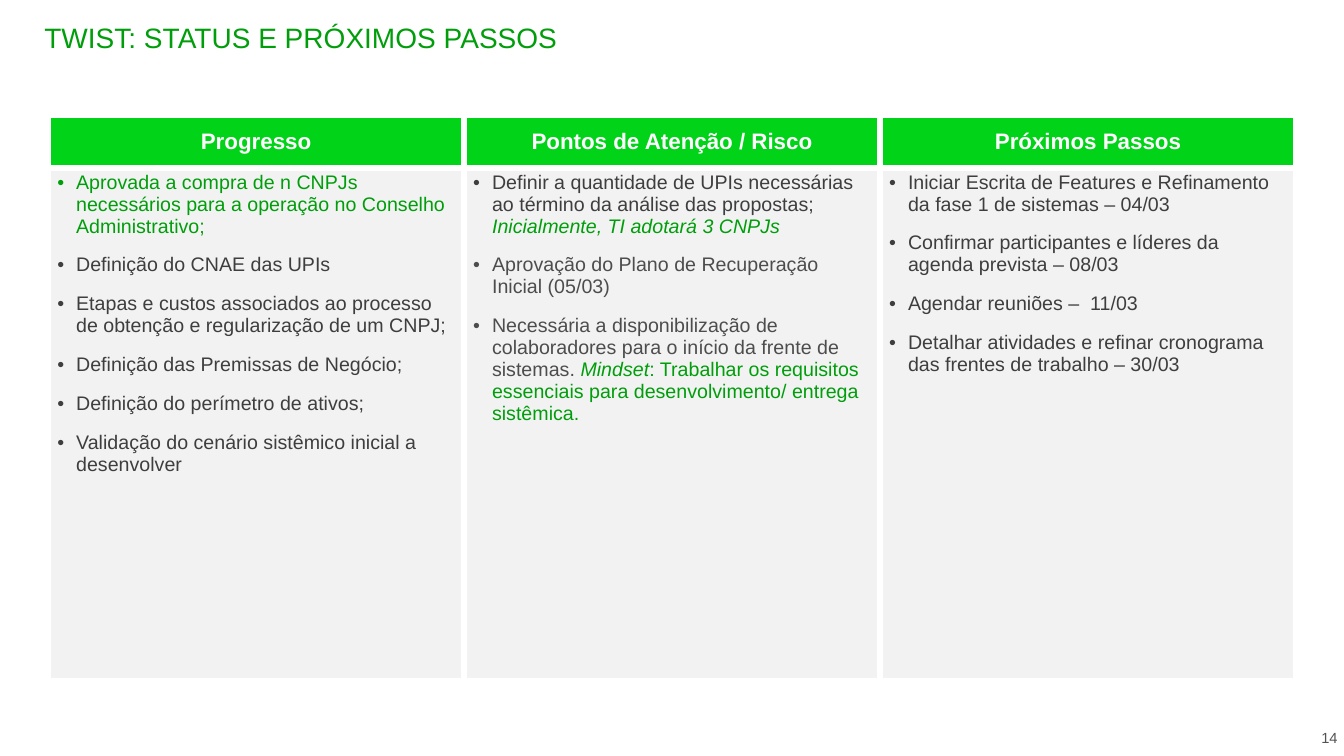
"""Build the TWIST status slide: progress, risks and next steps in a table."""
import pptx
import pptx.dml.color
import pptx.enum.text
import pptx.oxml
import pptx.oxml.ns
import pptx.util

Pt = pptx.util.Pt
ALIGN = pptx.enum.text.PP_ALIGN
ANCHOR = pptx.enum.text.MSO_ANCHOR
GREEN, DARK, GRAY = "009E0B", "3E3E3E", "4D4D4D"
NAMESPACE = pptx.oxml.ns.nsdecls("a")


def rgb(value):
    return pptx.dml.color.RGBColor.from_string(value)


def add_span(para, text, size, color, **format_values):
    span = para.add_run()
    span.text = text
    span.font.color.rgb = rgb(color)
    for name, value in {"name": "Arial", "size": Pt(size), **format_values}.items():
        setattr(span.font, name, value)


columns = {
    "Progresso": [
        [("Aprovada a compra de n CNPJs necessários para a operação no Conselho Administrativo;", GREEN, False)],
        [("Definição do CNAE das UPIs", DARK, False)],
        [("Etapas e custos associados ao processo de obtenção e regularização de um CNPJ;", DARK, False)],
        [("Definição das Premissas de Negócio;", DARK, False)],
        [("Definição do perímetro de ativos;", DARK, False)],
        [("Validação do cenário sistêmico inicial a desenvolver", DARK, False)],
    ],
    "Pontos de Atenção / Risco": [
        [("Definir a quantidade de UPIs necessárias ao término da análise das propostas; ", DARK, False),
         ("Inicialmente, TI adotará 3 CNPJs", GREEN, True)],
        [("Aprovação do Plano de Recuperação Inicial (05/03)", GRAY, False)],
        [("Necessária a disponibilização de colaboradores para o início da frente de sistemas. ", GRAY, False),
         ("Mindset", GREEN, True),
         (": Trabalhar os requisitos essenciais para desenvolvimento/ entrega sistêmica.", GREEN, False)],
    ],
    "Próximos Passos": [
        [("Iniciar Escrita de Features e Refinamento da fase 1 de sistemas – 04/03", DARK, False)],
        [("Confirmar participantes e líderes da agenda prevista – 08/03", DARK, False)],
        [("Agendar reuniões –  11/03", DARK, False)],
        [("Detalhar atividades e refinar cronograma das frentes de trabalho – 30/03", DARK, False)],
    ],
}

deck = pptx.Presentation()
deck.slide_width, deck.slide_height = Pt(960), Pt(540)
page = deck.slides.add_slide(deck.slide_layouts[5])

title = page.shapes.title
title.left, title.top, title.width, title.height = Pt(24.5), Pt(10.8), Pt(846.7), Pt(43.9)
title.text_frame.vertical_anchor = ANCHOR.TOP
title.text_frame.auto_size = pptx.enum.text.MSO_AUTO_SIZE.NONE
title_para = title.text_frame.paragraphs[0]
title_para.alignment = ALIGN.LEFT
add_span(title_para, "TWIST: STATUS E PRÓXIMOS PASSOS", 20, GREEN)

number_box = page.shapes.add_textbox(Pt(870.5), Pt(519.8), Pt(88.5), Pt(13.7))
number_frame = number_box.text_frame
number_frame.word_wrap = True
number_frame.vertical_anchor = ANCHOR.MIDDLE
for side in ("left", "right", "top", "bottom"):
    setattr(number_frame, f"margin_{side}", Pt(3.6))
number_para = number_frame.paragraphs[0]
number_para.alignment = ALIGN.RIGHT
add_span(number_para, "14", 10.5, "535353")

table = page.shapes.add_table(2, 3, Pt(34.4), Pt(82.2), Pt(891.3), Pt(404.4)).table
table.first_row = table.horz_banding = False
for column in table.columns:
    column.width = Pt(297.1)
table.rows[0].height, table.rows[1].height = Pt(37.9), Pt(366.5)

cell_formats = [
    {"margin_left": Pt(0.7), "margin_right": Pt(0.7), "margin_top": Pt(0.7), "margin_bottom": Pt(0),
     "vertical_anchor": ANCHOR.MIDDLE},
    {"margin_left": Pt(6.5), "margin_right": Pt(6.5), "margin_top": Pt(2.2), "margin_bottom": Pt(2.2),
     "vertical_anchor": ANCHOR.TOP},
]
for row, fill in enumerate(("00D318", "F2F2F2")):
    for column in range(3):
        cell = table.cell(row, column)
        cell.fill.solid()
        cell.fill.fore_color.rgb = rgb(fill)
        for name, value in cell_formats[row].items():
            setattr(cell, name, value)
        for position, edge in enumerate(("lnL", "lnR", "lnT", "lnB")):
            border = pptx.oxml.parse_xml(
                f'<a:{edge} {NAMESPACE} w="{Pt(4.5)}"><a:solidFill>'
                f'<a:srgbClr val="FFFFFF"/></a:solidFill></a:{edge}>')
            cell._tc.get_or_add_tcPr().insert(position, border)

for column, (heading, items) in enumerate(columns.items()):
    heading_para = table.cell(0, column).text_frame.paragraphs[0]
    heading_para.alignment = ALIGN.CENTER
    add_span(heading_para, heading, 16, "FFFFFF", bold=True)

    frame = table.cell(1, column).text_frame
    for index, spans in enumerate(items):
        para = frame.add_paragraph() if index else frame.paragraphs[0]
        properties = para._p.get_or_add_pPr()
        properties.set("marL", str(Pt(13.5)))
        properties.set("indent", str(-Pt(13.5)))
        properties.append(pptx.oxml.parse_xml(f'<a:buFont {NAMESPACE} typeface="Arial"/>'))
        properties.append(pptx.oxml.parse_xml(f'<a:buChar {NAMESPACE} char="•"/>'))
        para.space_after = Pt(12)
        for text, color, italic in spans:
            add_span(para, text, 14, color, bold=False, italic=italic)

deck.save("out.pptx")
